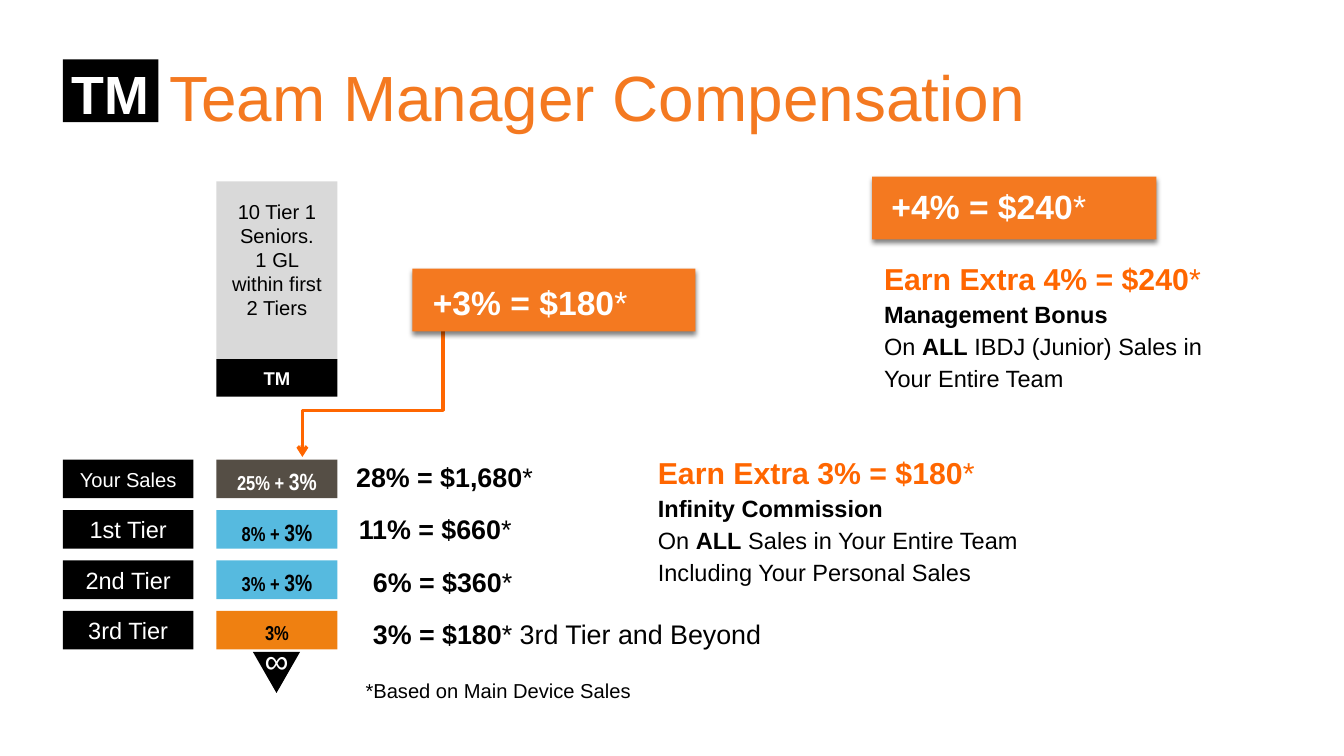
from lxml import etree
from pptx import Presentation
from pptx.dml.color import RGBColor
from pptx.enum.shapes import MSO_CONNECTOR, MSO_SHAPE
from pptx.enum.text import MSO_ANCHOR, PP_ALIGN
from pptx.oxml import parse_xml
from pptx.oxml.ns import nsdecls, qn
from pptx.util import Pt

RECTANGLE, TRIANGLE = MSO_SHAPE.RECTANGLE, MSO_SHAPE.ISOSCELES_TRIANGLE
ELBOW = MSO_CONNECTOR.ELBOW
TOP, MIDDLE, BOTTOM = MSO_ANCHOR.TOP, MSO_ANCHOR.MIDDLE, MSO_ANCHOR.BOTTOM
LEFT, CENTER = PP_ALIGN.LEFT, PP_ALIGN.CENTER

BLACK, WHITE, GREY = "000000", "FFFFFF", "D9D9D9"
ORANGE, BRIGHT_ORANGE, TIER_ORANGE = "F47920", "FF6600", "EF8011"
BROWN, BLUE = "554E45", "56BADF"
NARROW = "Arial Narrow"
BOLD, PLAIN = {"bold": True}, {"bold": False}


def rgb(color):
    return RGBColor.from_string(color)


def write(frame, paragraphs, size=14, color=BLACK, bold=False, font="Arial",
          align=LEFT, anchor=TOP, insets=(7.2, 3.6, 7.2, 3.6), leading=None, wrap=True):
    """Fill a frame; a paragraph is a string or a list of (text, run format) pairs."""
    frame.word_wrap, frame.vertical_anchor = wrap, anchor
    frame.margin_left, frame.margin_top, frame.margin_right, frame.margin_bottom = map(Pt, insets)
    for index, content in enumerate(paragraphs):
        paragraph = frame.add_paragraph() if index else frame.paragraphs[0]
        paragraph.alignment = align
        if leading:
            paragraph.line_spacing = Pt(leading)
        for text, style in [(content, {})] if isinstance(content, str) else content:
            run = paragraph.add_run()
            run.text = text
            run.font.name = style.get("font", font)
            run.font.size = Pt(style.get("size", size))
            run.font.bold = style.get("bold", bold)
            run.font.color.rgb = rgb(style.get("color", color))


class CompensationSlide:
    def __init__(self, slide):
        self.slide = slide
        self.shapes = slide.shapes

    def title(self, text, left, top, width, height, **style):
        title = self.shapes.title
        title.left, title.top, title.width, title.height = map(Pt, (left, top, width, height))
        write(title.text_frame, [text], **style)

    def block(self, left, top, width, height, fill, paragraphs=(), kind=RECTANGLE, **style):
        block = self.shapes.add_shape(kind, *map(Pt, (left, top, width, height)))
        block.shadow.inherit = False
        block.fill.solid()
        block.fill.fore_color.rgb = rgb(fill)
        block.line.fill.background()
        if paragraphs:
            write(block.text_frame, paragraphs, **style)
        return block

    def label(self, left, top, width, height, paragraphs, **style):
        label = self.shapes.add_textbox(*map(Pt, (left, top, width, height)))
        write(label.text_frame, paragraphs, **style)

    def bonus(self, left, top, width, amount, inset_left, inset_top):
        """Add an orange banner with a soft shadow below it."""
        banner = self.block(left, top, width, 37.4, ORANGE, [[(amount, BOLD), ("*", PLAIN)]],
                            size=20, color=WHITE, leading=19,
                            insets=(inset_left, inset_top, 7.2, 0))
        effects = banner._element.spPr.find(qn("a:effectLst"))
        effects.append(parse_xml(
            f'<a:outerShdw {nsdecls("a")} blurRad="{Pt(3)}" dist="{Pt(2)}" dir="5400000" '
            'rotWithShape="0"><a:srgbClr val="000000"><a:alpha val="50000"/></a:srgbClr>'
            '</a:outerShdw>'))

    def explanation(self, left, top, width, height, heading, name, scope):
        heading_style = {"size": 18, "color": BRIGHT_ORANGE}
        self.label(left, top, width, height, [
            [(heading, heading_style | BOLD), ("*", heading_style)],
            [(name, BOLD)],
            [("On ", PLAIN), ("ALL", BOLD), (scope, PLAIN)],
        ], leading=19)

    def down_arrow(self, x1, y1, x2, y2, bend):
        """Add an elbow arrow going down, across to the left and down again."""
        middle_x, middle_y = (x1 + x2) / 2, (y1 + y2) / 2
        half_length, half_breadth = (y2 - y1) / 2, (x1 - x2) / 2
        arrow = self.shapes.add_connector(
            ELBOW, Pt(middle_x - half_length), Pt(middle_y - half_breadth),
            Pt(middle_x + half_length), Pt(middle_y + half_breadth))
        arrow.line.color.rgb = rgb(BRIGHT_ORANGE)
        arrow.line.width = Pt(2)
        properties = arrow._element.spPr
        properties.find(qn("a:xfrm")).set("rot", "5400000")
        guides = properties.find(qn("a:prstGeom")).get_or_add_avLst()
        etree.SubElement(guides, qn("a:gd"), name="adj1", fmla=f"val {round(bend * 100000)}")
        etree.SubElement(properties.find(qn("a:ln")), qn("a:tailEnd"), type="arrow")
        etree.SubElement(properties, qn("a:effectLst"))


def main():
    deck = Presentation()
    deck.slide_width, deck.slide_height = Pt(800), Pt(450)
    page = CompensationSlide(deck.slides.add_slide(deck.slide_layouts[5]))

    page.title("Team Manager Compensation", 93.6, 26, 659.5, 67.7,
               size=38, color=ORANGE, insets=(7.2, 8.2, 7.2, 3.6))
    page.block(37.4, 35.3, 56.9, 37.4, BLACK, ["TM"], size=32, color=WHITE, bold=True,
               align=CENTER, anchor=MIDDLE, insets=(0, 3, 0, 0))

    bar_left, bar_width = 128.9, 72
    page.block(bar_left, 108, bar_width, 106, GREY,
               ["10 Tier 1 Seniors.", "1 GL within first 2 Tiers"],
               size=12, align=CENTER, leading=14.4, insets=(7.2, 10.4, 7.2, 0))
    page.block(bar_left, 213.8, bar_width, 22.3, BLACK, ["TM"], size=11, color=WHITE,
               bold=True, align=CENTER, anchor=MIDDLE)

    large = {"size": 14}
    tiers = [
        ("Your Sales", 12, BROWN, WHITE, [("25% + ", {}), ("3%", large)], 212, "28% = $1,680", "*"),
        ("1st Tier", 14, BLUE, BLACK, [("8% + ", {}), ("3%", large)], 213.6, "11% = $660", "*"),
        ("2nd Tier", 14, BLUE, BLACK, [("3% + ", {}), ("3%", large)], 222, "6% = $360", "*"),
        ("3rd Tier", 14, TIER_ORANGE, BLACK, [("3%", {})], 222, "3% = $180",
         "* 3rd Tier and Beyond"),
    ]
    for row, (tier, size, fill, color, rate, left, earning, remark) in enumerate(tiers):
        top = 273.6 + 30 * row
        page.block(37.4, top, 77.8, 23, BLACK, [tier], size=size, color=WHITE,
                   align=CENTER, anchor=MIDDLE)
        page.block(bar_left, top, bar_width, 23, fill, [rate], size=12, color=color, bold=True,
                   font=NARROW, align=CENTER, anchor=MIDDLE, insets=(7.2, 3, 7.2, 0))
        page.label(left, 269.5 + 31.2 * row, 268, 23.8, [[(earning, BOLD), (remark, PLAIN)]],
                   size=16, anchor=BOTTOM, insets=(0, 0, 0, 0))

    beyond = page.block(150.5, 388, 28.1, 24.5, BLACK, kind=TRIANGLE)
    beyond.rotation = 180
    page.label(150.5, 377.3, 28, 31.7, ["∞"], size=20, color=WHITE, wrap=False)
    page.label(150.5, 400.3, 292.3, 21.6, ["*Based on Main Device Sales"], size=12, align=CENTER)

    page.down_arrow(263.8, 188, 180, 272, bend=0.67)
    page.bonus(245.5, 159.9, 168.5, "+3% = $180", 12.2, 13)
    page.explanation(384.5, 269.3, 236.9, 83.5, "Earn Extra 3% = $180", "Infinity Commission",
                     " Sales in Your Entire Team Including Your Personal Sales")
    page.bonus(519.1, 105.1, 169.2, "+4% = $240", 11.5, 10.5)
    page.explanation(519.1, 154.1, 221.8, 93.6, "Earn Extra 4% = $240", "Management Bonus",
                     " IBDJ (Junior) Sales in Your Entire Team")

    deck.save("out.pptx")


if __name__ == "__main__":
    main()
